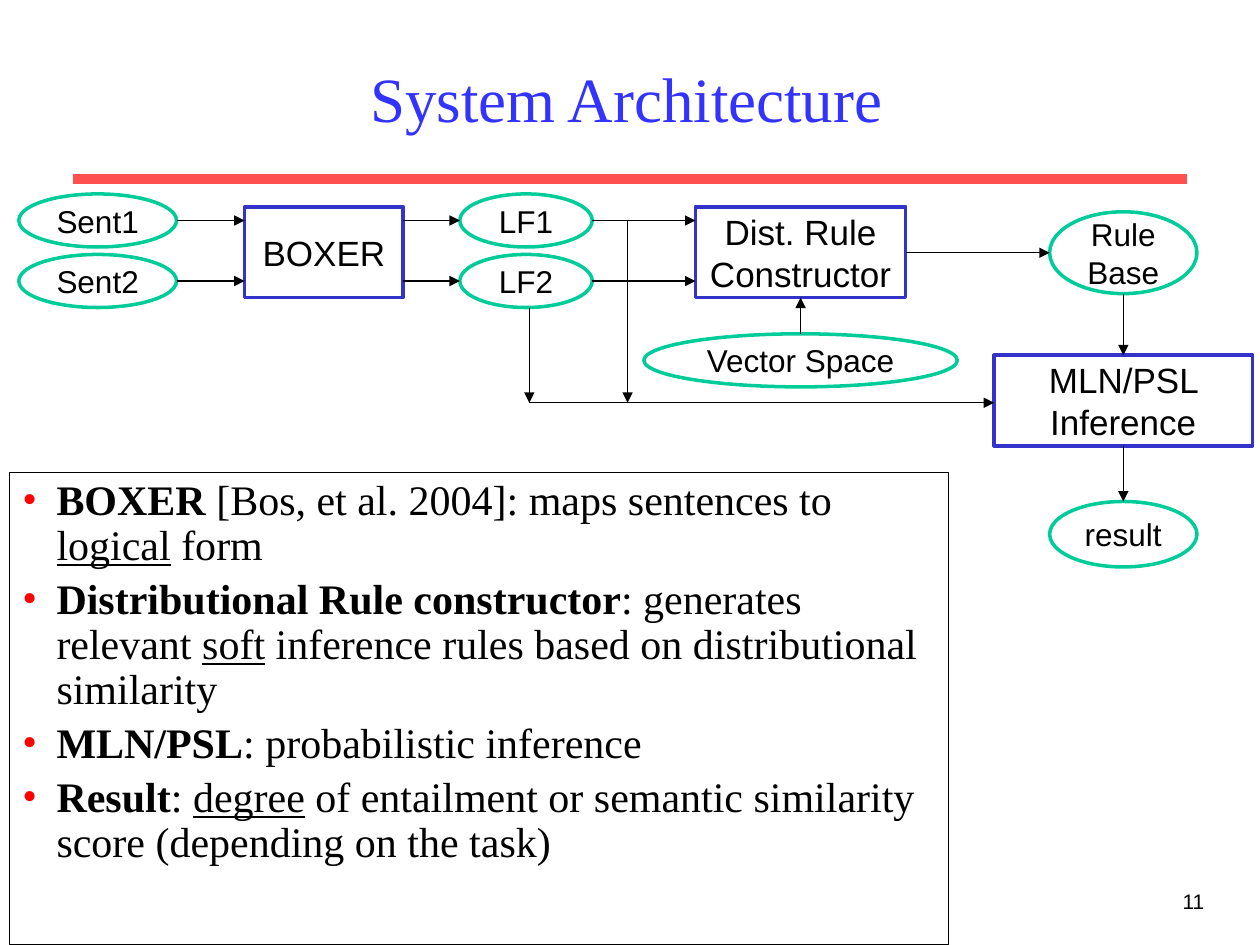
from lxml.etree import SubElement
from pptx import Presentation
from pptx.dml.color import RGBColor
from pptx.enum.shapes import MSO_CONNECTOR as Connector, MSO_SHAPE as Shape
from pptx.enum.text import MSO_ANCHOR as Anchor, PP_ALIGN as Align
from pptx.oxml.ns import qn
from pptx.util import Cm, Pt

SANS, SERIF = "Arial", "Times New Roman"
BLACK, WHITE, RED = "000000", "FFFFFF", "FF0000"
# outline shape, line colour, text size
DATA = (Shape.OVAL, "00CC99", 18)
MODULE = (Shape.RECTANGLE, "3333CC", 20)

# text: (style, left, top, width, height) in cm
NODES = {
    "Sent1": (DATA, 0.38, 3.91, 3.18, 1.07),
    "Sent2": (DATA, 0.38, 5.13, 3.18, 1.07),
    "BOXER": (MODULE, 4.93, 4.17, 3.2, 1.83),
    "LF1": (DATA, 9.27, 3.91, 2.67, 1.07),
    "LF2": (DATA, 9.27, 5.13, 2.67, 1.07),
    "Dist. Rule\nConstructor": (MODULE, 14.02, 4.17, 4.24, 1.83),
    "Vector Space": (DATA, 12.98, 6.73, 6.32, 1.07),
    "Rule Base": (DATA, 21.16, 4.27, 2.97, 1.65),
    "MLN/PSL Inference": (MODULE, 20.04, 7.16, 5.21, 1.83),
    "result": (DATA, 21.16, 10.11, 2.97, 1.32),
}
CONSTRUCTOR = "Dist. Rule\nConstructor"
# each level arrow runs at the middle of the third node
LEVEL_ARROWS = [
    ("Sent1", "BOXER", "Sent1"), ("Sent2", "BOXER", "Sent2"),
    ("BOXER", "LF1", "LF1"), ("BOXER", "LF2", "LF2"),
    ("LF1", CONSTRUCTOR, "LF1"), ("LF2", CONSTRUCTOR, "LF2"),
    (CONSTRUCTOR, "Rule Base", "Rule Base"),
]
DOWN_ARROWS = [("Rule Base", "MLN/PSL Inference"), ("MLN/PSL Inference", "result")]
LF1_BRANCH_X, LF2_BRANCH_X, BYPASS_Y = 12.65, 10.67, 8.12

# (text, emphasis): b bold, u underlined
BULLETS = [
    [("BOXER", "b"), (" [Bos, et al. 2004]: maps sentences to ", ""),
     ("logical", "u"), (" form", "")],
    [("Distributional Rule constructor", "b"), (": generates relevant ", ""),
     ("soft", "u"), (" inference rules based on distributional similarity", "")],
    [("MLN/PSL", "b"), (": probabilistic inference", "")],
    [("Result", "b"), (": ", ""), ("degree", "u"),
     (" of entailment or semantic similarity score (depending on the task)", "")],
]


def rgb(color):
    return RGBColor.from_string(color)


def style_span(span, font, size, color=BLACK):
    span.font.name, span.font.size = font, Pt(size)
    span.font.color.rgb = rgb(color)


def style_text(frame, font, size, color=BLACK, align=Align.CENTER, anchor=Anchor.MIDDLE):
    frame.word_wrap, frame.vertical_anchor = True, anchor
    for para in frame.paragraphs:
        para.alignment = align
        for span in para.runs:
            style_span(span, font, size, color)


def add_label(text, left, top, width, height, **style):
    box = page.shapes.add_textbox(Cm(left), Cm(top), Cm(width), Cm(height))
    box.text_frame.text = text
    style_text(box.text_frame, **style)


def add_node(text, style, left, top, width, height):
    kind, color, size = style
    node = page.shapes.add_shape(kind, Cm(left), Cm(top), Cm(width), Cm(height))
    node.shadow.inherit = False
    node.fill.solid()
    node.fill.fore_color.rgb = rgb(WHITE)
    node.line.color.rgb, node.line.width = rgb(color), Pt(2)
    node.text_frame.text = text
    style_text(node.text_frame, SANS, size)


def add_line(x1, y1, x2, y2, color=BLACK, width=0.75, arrow=True):
    line = page.shapes.add_connector(Connector.STRAIGHT, Cm(x1), Cm(y1), Cm(x2), Cm(y2))
    line.line.color.rgb, line.line.width = rgb(color), Pt(width)
    if arrow:
        SubElement(line.line._get_or_add_ln(), qn("a:tailEnd"), type="triangle")
    SubElement(line._element.spPr, qn("a:effectLst"))


def edges(name):
    """Left, top, right, bottom, centre x and centre y of a node."""
    _, left, top, width, height = NODES[name]
    return left, top, left + width, top + height, left + width / 2, top + height / 2


def add_bullet(para, spans):
    para.line_spacing, para.space_before = 0.9, Pt(4.8)
    props = para._p.get_or_add_pPr()
    props.set("marL", str(Cm(0.69)))
    props.set("indent", str(-Cm(0.69)))
    SubElement(SubElement(props, qn("a:buClr")), qn("a:srgbClr"), val=RED)
    SubElement(props, qn("a:buFont"), typeface=SERIF)
    SubElement(props, qn("a:buChar"), char="•")
    for text, emphasis in spans:
        span = para.add_run()
        span.text = text
        style_span(span, SERIF, 24)
        span.font.bold, span.font.underline = emphasis == "b", emphasis == "u"


deck = Presentation()
deck.slide_width, deck.slide_height = Cm(25.4), Cm(19.05)
page = deck.slides.add_slide(deck.slide_layouts[6])

add_line(1.48, 3.61, 23.93, 3.61, "FF5050", 6, arrow=False)
add_label("System Architecture", 1.9, 0.56, 21.46, 2.79,
          font=SERIF, size=36, color="3333FF")
add_label("11", 19.25, 17.78, 5.28, 1.27,
          font=SANS, size=12, align=Align.RIGHT, anchor=Anchor.TOP)

for name, geometry in NODES.items():
    add_node(name, *geometry)

for start, end, level in LEVEL_ARROWS:
    y = edges(level)[5]
    add_line(edges(start)[2], y, edges(end)[0], y)
for start, end in DOWN_ARROWS:
    x = edges(start)[4]
    add_line(x, edges(start)[3], x, edges(end)[1])
x = edges(CONSTRUCTOR)[4]
add_line(x, edges("Vector Space")[1], x, edges(CONSTRUCTOR)[3])
add_line(LF1_BRANCH_X, edges("LF1")[5], LF1_BRANCH_X, BYPASS_Y)
add_line(LF2_BRANCH_X, edges("LF2")[3], LF2_BRANCH_X, BYPASS_Y)
add_line(LF2_BRANCH_X, BYPASS_Y, edges("MLN/PSL Inference")[0], BYPASS_Y)

notes_box = page.shapes.add_textbox(Cm(0.2), Cm(9.53), Cm(18.92), Cm(9.52))
notes_box.line.color.rgb, notes_box.line.width = rgb(BLACK), Pt(0.5)
frame = notes_box.text_frame
frame.word_wrap = True
for index, spans in enumerate(BULLETS):
    add_bullet(frame.add_paragraph() if index else frame.paragraphs[0], spans)

deck.save("out.pptx")
